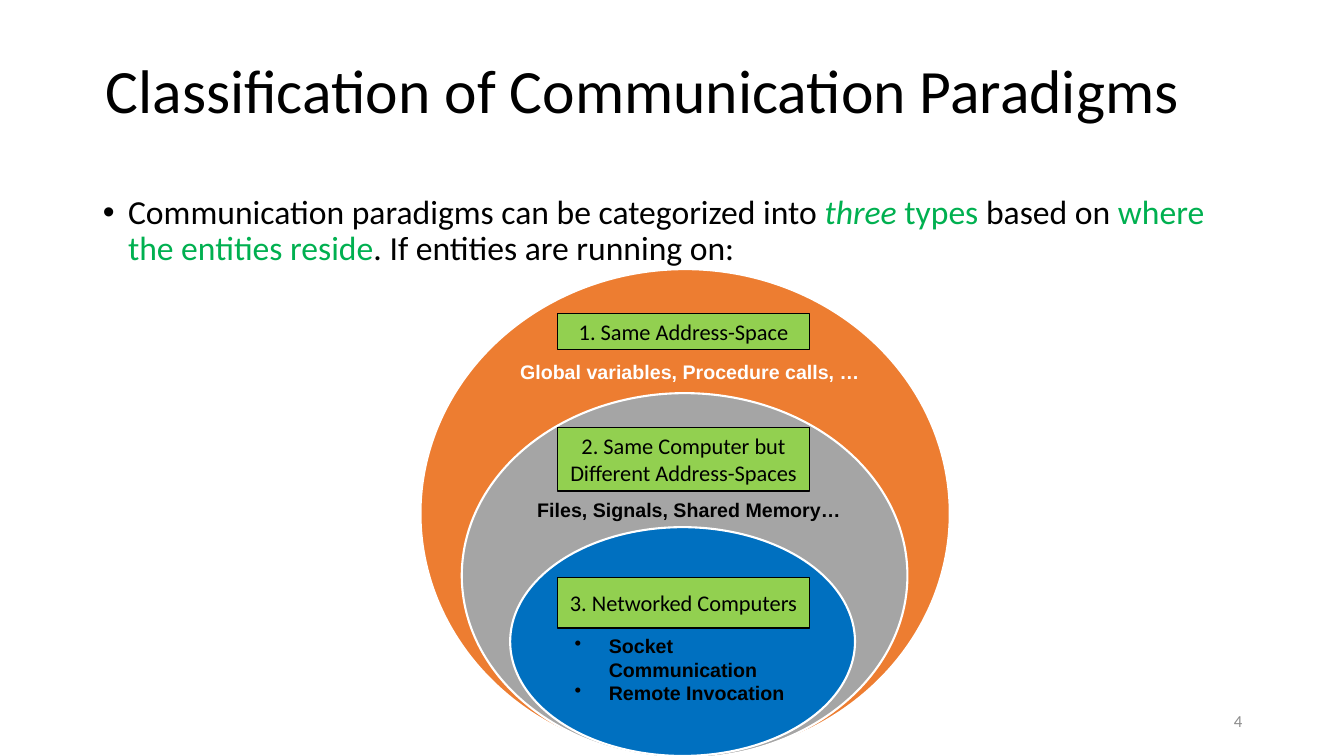
import lxml.etree
import pptx
import pptx.dml.color
import pptx.enum.shapes
import pptx.enum.text
import pptx.oxml.ns
import pptx.util

Inches = pptx.util.Inches
Pt = pptx.util.Pt
RGBColor = pptx.dml.color.RGBColor
ALIGN = pptx.enum.text.PP_ALIGN
ANCHOR = pptx.enum.text.MSO_ANCHOR
SHAPE = pptx.enum.shapes.MSO_SHAPE

BLACK = RGBColor(0x00, 0x00, 0x00)
WHITE = RGBColor(0xFF, 0xFF, 0xFF)
ORANGE = RGBColor(0xED, 0x7D, 0x31)
GRAY = RGBColor(0xA5, 0xA5, 0xA5)
BLUE = RGBColor(0x00, 0x70, 0xC0)
LIME = RGBColor(0x92, 0xD0, 0x50)
GREEN = RGBColor(0x00, 0xB0, 0x50)
PALE_GRAY = RGBColor(0x8C, 0x8C, 0x8C)


def write(box, paragraphs, size, font="Calibri", color=BLACK, bold=False,
          align=ALIGN.LEFT, anchor=ANCHOR.TOP, spacing=1.0, indent=None):
    """Fill a box; a paragraph is a list of (text, format) spans, and an indent adds bullets."""
    frame = box.text_frame
    frame.word_wrap = True
    frame.auto_size = pptx.enum.text.MSO_AUTO_SIZE.NONE
    frame.vertical_anchor = anchor
    for index, spans in enumerate(paragraphs):
        para = frame.add_paragraph() if index else frame.paragraphs[0]
        para.alignment = align
        para.line_spacing = spacing
        para.space_before = Pt(0)
        if indent:
            properties = para._p.get_or_add_pPr()
            properties.set("marL", str(Inches(indent)))
            properties.set("indent", str(-Inches(indent)))
            bullet = lxml.etree.SubElement(properties, pptx.oxml.ns.qn("a:buChar"))
            bullet.set("char", "•")
        for text, style in spans:
            span = para.add_run()
            span.text = text
            span.font.name = font
            span.font.size = Pt(size)
            span.font.bold = bold
            span.font.italic = style.get("italic", False)
            span.font.color.rgb = style.get("color", color)


def add_filled(kind, place, fill, line, width):
    shape = slide.shapes.add_shape(kind, *map(Inches, place))
    shape.shadow.inherit = False
    shape.fill.solid()
    shape.fill.fore_color.rgb = fill
    shape.line.color.rgb = line
    shape.line.width = Pt(width)
    return shape


deck = pptx.Presentation()
deck.slide_width = Inches(13.33)
deck.slide_height = Inches(7.5)
slide = deck.slides.add_slide(deck.slide_layouts[1])

# Title and lead sentence
title, body = slide.placeholders
for box, place in ((title, (0.92, 0.35, 10.91, 1.15)), (body, (0.92, 1.89, 11.25, 0.92))):
    box.left, box.top, box.width, box.height = map(Inches, place)

write(title, [[("Classification of Communication Paradigms", {})]], 44,
      align=ALIGN.CENTER, anchor=ANCHOR.MIDDLE, spacing=0.9)
write(body, [[
    ("Communication paradigms can be categorized into ", {}),
    ("three", {"color": GREEN, "italic": True}),
    (" types ", {"color": GREEN}),
    ("based on ", {}),
    ("where the entities reside", {"color": GREEN}),
    (". If entities are running on:", {}),
]], 24, spacing=0.9, indent=0.25)

# Nested ellipses, outermost first
for place, fill in (
    ((4.17, 2.67, 5.25, 4.85), ORANGE),
    ((4.58, 3.9, 4.42, 3.62), GRAY),
    ((5.06, 5.23, 3.42, 2.27), BLUE),
):
    add_filled(SHAPE.OVAL, place, fill, WHITE, 1.5)

# Category labels share one column
for top, height, text in (
    (3.11, 0.36, "1. Same Address-Space"),
    (4.24, 0.63, "2. Same Computer but Different Address-Spaces"),
    (5.73, 0.5, "3. Networked Computers"),
):
    label = add_filled(SHAPE.RECTANGLE, (5.53, top, 2.5, height), LIME, BLACK, 1)
    label.text_frame.margin_left = label.text_frame.margin_right = 0
    write(label, [[(text, {})]], 16, align=ALIGN.CENTER, anchor=ANCHOR.MIDDLE)

# Examples of each category
for place, lines, color, indent in (
    ((5.06, 3.52, 3.67, 0.34), ["Global variables, Procedure calls, …"], WHITE, None),
    ((5.23, 4.89, 3.25, 0.34), ["Files, Signals, Shared Memory…"], BLACK, None),
    ((5.6, 6.24, 2.57, 0.57), ["Socket Communication", "Remote Invocation"], BLACK, 0.34),
):
    examples = slide.shapes.add_textbox(*map(Inches, place))
    write(examples, [[(line, {})] for line in lines], 14, font="Arial",
          color=color, bold=True, indent=indent)

# Slide number
number = slide.shapes.add_textbox(Inches(9.42), Inches(6.95), Inches(3), Inches(0.4))
write(number, [[("4", {})]], 12, color=PALE_GRAY, align=ALIGN.RIGHT, anchor=ANCHOR.MIDDLE)

deck.save("out.pptx")
